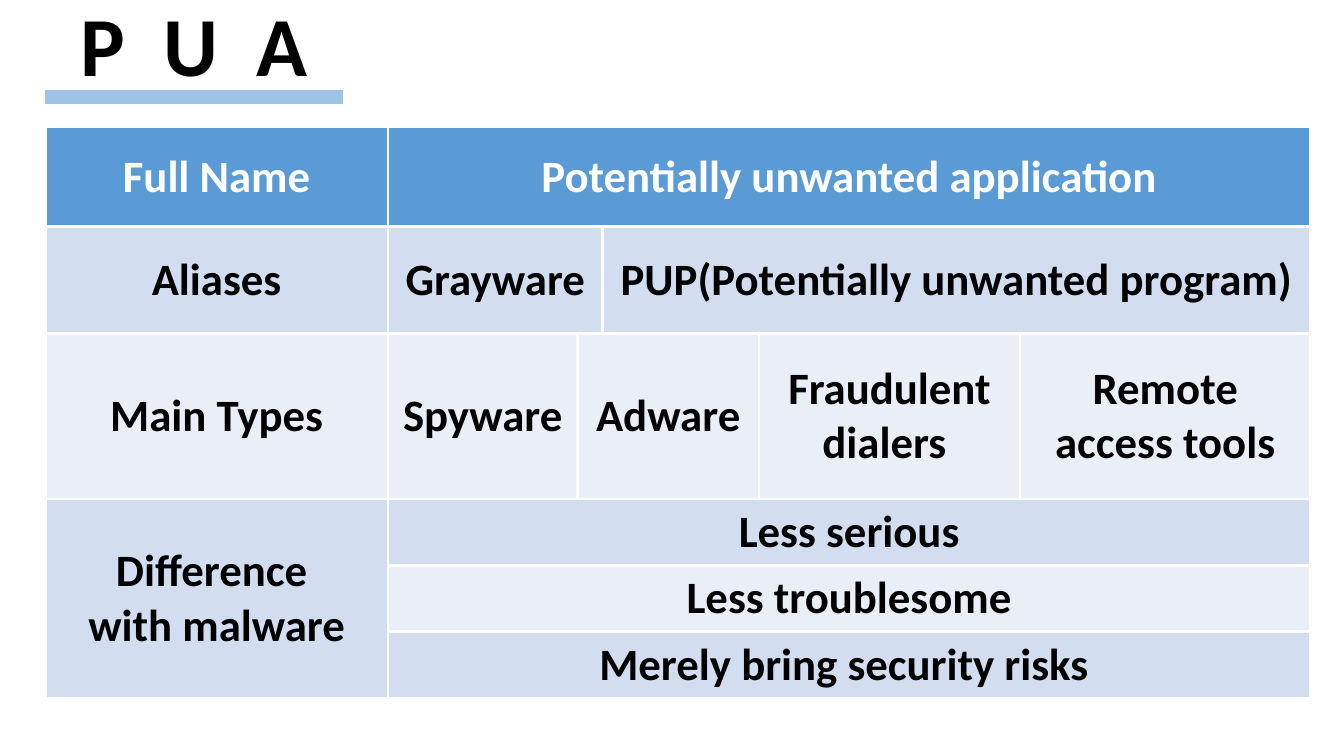
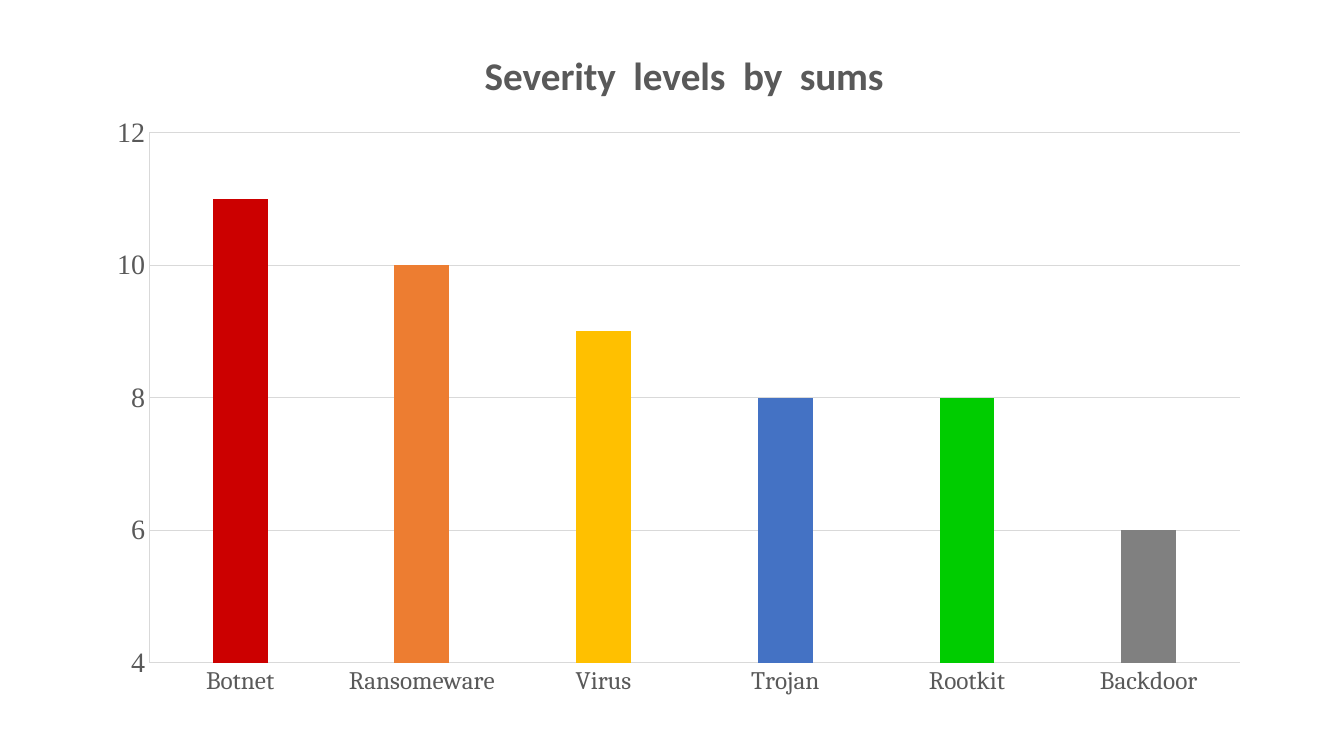
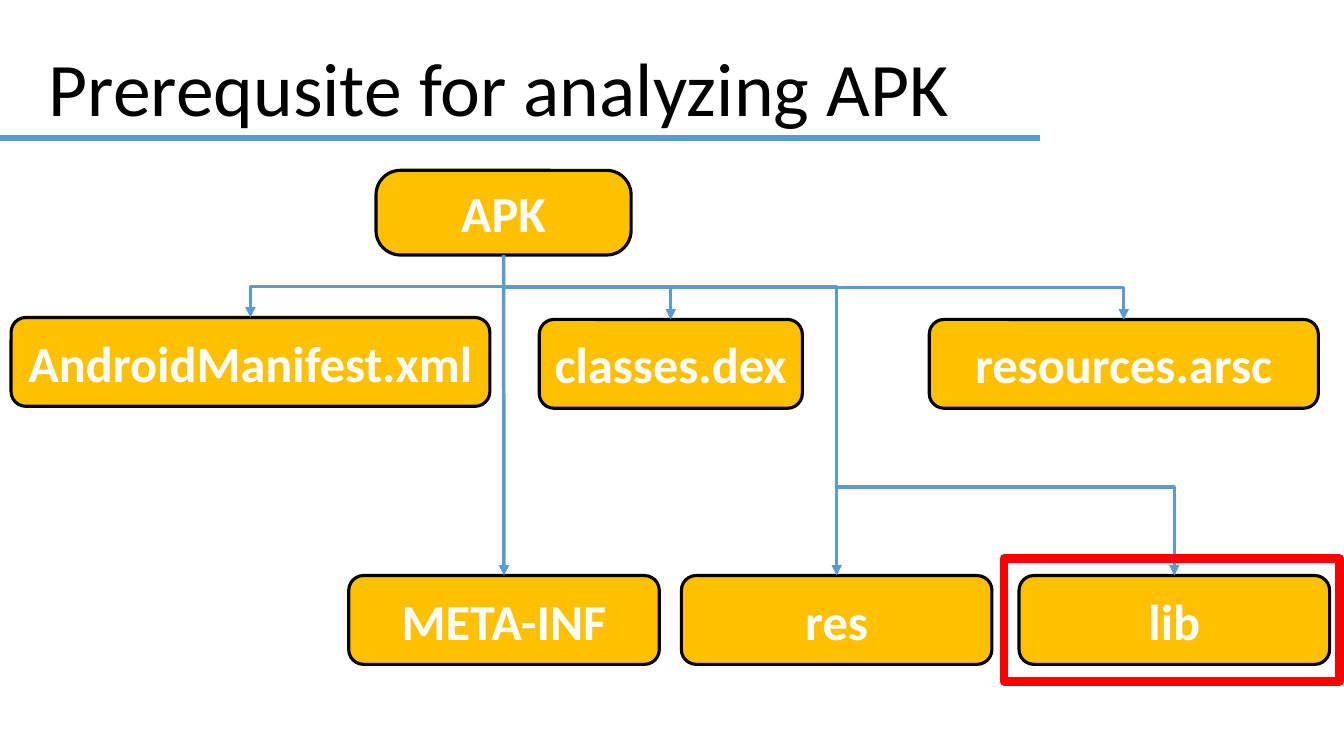
"""Build three slides: PUA table, severity chart and APK tree."""
from lxml import etree
from pptx import Presentation
from pptx.chart.data import CategoryChartData
from pptx.dml.color import RGBColor
from pptx.enum import chart as ch, shapes as sh, text as tx
from pptx.oxml.ns import qn
from pptx.util import Pt

WHITE = RGBColor(255, 255, 255)
BLACK = RGBColor(0, 0, 0)
BLUE = RGBColor(0x5B, 0x9B, 0xD5)
SKY = RGBColor(0x9D, 0xC3, 0xE6)
DEEP = RGBColor(0xD2, 0xDE, 0xEF)
PALE = RGBColor(0xEA, 0xEF, 0xF7)
GOLD = RGBColor(0xFF, 0xC0, 0)
RED = RGBColor(255, 0, 0)
GRAY = RGBColor(0x59, 0x59, 0x59)
RULE = RGBColor(0xD9, 0xD9, 0xD9)
FONT = "Calibri"

COLS = [244.8, 135.4, 18, 111.6, 186.5, 207.4]
ROWS = [71.3, 76.3, 118.1, 47.5, 47.5, 47.5]
CELLS = [
    (0, 0, 1, 1, "Full Name"),
    (0, 1, 1, 5, "Potentially unwanted application"),
    (1, 0, 1, 1, "Aliases"),
    (1, 1, 1, 2, "Grayware"),
    (1, 3, 1, 3, "PUP(Potentially unwanted program)"),
    (2, 0, 1, 1, "Main Types"),
    (2, 1, 1, 1, "Spyware"),
    (2, 2, 1, 2, "Adware"),
    (2, 4, 1, 1, "Fraudulent dialers "),
    (2, 5, 1, 1, "Remote access tools"),
    (3, 0, 3, 1, "Difference \nwith malware"),
    (3, 1, 1, 5, "Less serious"),
    (4, 1, 1, 5, "Less troublesome"),
    (5, 1, 1, 5, "Merely bring security risks "),
]

LEVELS = [
    ("Botnet", 11, RGBColor(0xCC, 0, 0)),
    ("Ransomeware", 10, RGBColor(0xED, 0x7D, 0x31)),
    ("Virus", 9, GOLD),
    ("Trojan", 8, RGBColor(0x44, 0x72, 0xC4)),
    ("Rootkit", 8, RGBColor(0, 0xCC, 0)),
    ("Backdoor", 6, RGBColor(0x80, 0x80, 0x80)),
]

HIGH, LOW, TALL = 228.2, 411.1, 63.4
NODES = {
    "APK": (268.6, 121.7, 182.2, 60.5),
    "AndroidManifest.xml": (7.9, 226.8, 342, TALL),
    "classes.dex": (385.2, HIGH, 187.9, TALL),
    "resources.arsc": (663.8, HIGH, 277.9, TALL),
    "META-INF": (249.1, LOW, 221.8, TALL),
    "res": (486.7, LOW, 221.8, TALL),
    "lib": (727.9, LOW, 221.8, TALL),
}
BENDS = {"AndroidManifest.xml": 0.5, "classes.dex": 0.5,
         "resources.arsc": 0.5, "res": 0.1}


def pts(*nums):
    return [Pt(n) for n in nums]


def write(frame, words, size, color, bold=False):
    frame.text = words
    for para in frame.paragraphs:
        para.alignment = tx.PP_ALIGN.CENTER
        font = para.font
        font.name, font.size, font.bold = FONT, Pt(size), bold
        font.color.rgb = color


def title(slide, words, box, size, rule, bold=False, wrap=True):
    left, right, y, color, thick = rule
    frame = slide.shapes.add_textbox(*pts(*box)).text_frame
    frame.word_wrap = wrap
    write(frame, words, size, BLACK, bold)
    link(slide, (left, y), (right, y), color, thick)
    return frame


def link(slide, start, end, color, thick, kind="STRAIGHT", arrow=False):
    line = slide.shapes.add_connector(
        sh.MSO_CONNECTOR[kind], *pts(*start, *end))
    line.line.color.rgb = color
    line.line.width = Pt(thick)
    if arrow:
        etree.SubElement(line.line._get_or_add_ln(), qn("a:tailEnd"), type="triangle")
    etree.SubElement(line.element.spPr, qn("a:effectLst"))
    return line


def block(slide, kind, box, fill, edge, thick):
    shape = slide.shapes.add_shape(sh.MSO_SHAPE[kind], *pts(*box))
    shape.shadow.inherit = False
    if fill is None:
        shape.fill.background()
    else:
        shape.fill.solid()
        shape.fill.fore_color.rgb = fill
    shape.line.color.rgb = edge
    shape.line.width = Pt(thick)
    return shape


def edges(cell):
    props = cell._tc.get_or_add_tcPr()
    for spot, side in enumerate("LRTB"):
        line = etree.Element(qn("a:ln" + side), w=str(Pt(2.25)))
        fill = etree.SubElement(line, qn("a:solidFill"))
        etree.SubElement(fill, qn("a:srgbClr"), val=str(WHITE))
        props.insert(spot, line)


def place(item, x, y, w=None, h=None):
    node = item._element
    old = node.find(qn("c:layout"))
    if old is None:
        old = etree.Element(qn("c:layout"))
        after = node.find(qn("c:tx"))
        node.insert(0 if after is None else 1, old)
    for child in list(old):
        old.remove(child)
    man = etree.SubElement(old, qn("c:manualLayout"))
    if w:
        etree.SubElement(man, qn("c:layoutTarget"), val="inner")
    for name in ("xMode", "yMode"):
        etree.SubElement(man, qn("c:" + name), val="edge")
    for name, val in zip("xywh", (x, y, w, h)):
        if val is not None:
            etree.SubElement(man, qn("c:" + name), val=str(val))


def pua(slide):
    frame = title(slide, "P U A", (49.7, -8.6, 177.8, 79.9), 60,
                  (32.4, 244.8, 69.1, SKY, 10), True, False)
    for run in frame.paragraphs[0].runs:
        run.font._element.set("spc", "680")
    grid = slide.shapes.add_table(
        len(ROWS), len(COLS), *pts(32.4, 90.7, sum(COLS), sum(ROWS))).table
    for col, wide in zip(grid.columns, COLS):
        col.width = Pt(wide)
    for row, tall in zip(grid.rows, ROWS):
        row.height = Pt(tall)
    for r, c, down, across, words in CELLS:
        cell = grid.cell(r, c)
        if down * across > 1:
            cell.merge(grid.cell(r + down - 1, c + across - 1))
        write(cell.text_frame, words, 32, BLACK if r else WHITE, True)
        cell.vertical_anchor = tx.MSO_ANCHOR.MIDDLE
        cell.fill.solid()
        cell.fill.fore_color.rgb = (DEEP if r % 2 else PALE) if r else BLUE
        edges(cell)


def levels(slide):
    names, vals, tints = zip(*LEVELS)
    data = CategoryChartData()
    data.categories = names
    data.add_series("Series 1", vals)
    chart = slide.shapes.add_chart(
        ch.XL_CHART_TYPE.COLUMN_CLUSTERED,
        *pts(64.8, 10.1, 837.4, 498.2), data).chart
    chart.font.name, chart.font.size = FONT, Pt(10)
    chart.has_legend = False
    write(chart.chart_title.text_frame, "Severity  levels  by  sums", 28, GRAY, True)
    chart.chart_title.include_in_layout = False
    place(chart.chart_title, 0.33, 0.04)
    place(chart._chartSpace.chart.plotArea and chart_area(chart), 0.05, 0.17, 0.93, 0.76)
    plot = chart.plots[0]
    plot.gap_width = 231
    plot.vary_by_categories = False
    for spot, tint in enumerate(tints):
        fill = plot.series[0].points[spot].format.fill
        fill.solid()
        fill.fore_color.rgb = tint
    cat, val = chart.category_axis, chart.value_axis
    for axis, face, size in ((cat, "Cambria", 18), (val, "Times New Roman", 20)):
        font = axis.tick_labels.font
        font.name, font.size, font.color.rgb = face, Pt(size), GRAY
        axis.major_tick_mark = ch.XL_TICK_MARK.NONE
    cat.format.line.fill.background()
    val.minimum_scale, val.maximum_scale, val.major_unit = 4, 12, 2
    for line in (val.format.line, val.major_gridlines.format.line):
        line.color.rgb = RULE
        line.width = Pt(0.75)


class Area:
    """Holder for the plot area element."""

    def __init__(self, node):
        self._element = node


def chart_area(chart):
    return Area(chart._chartSpace.chart.plotArea)


def bend(slide, root, node, share):
    x, y = root.left.pt + root.width.pt / 2, root.top.pt + root.height.pt
    ex, ey = node.left.pt + node.width.pt / 2, node.top.pt
    line = link(slide, (x, y), (ex, ey), BLUE, 2.5, "ELBOW", True)
    line.begin_connect(root, 2)
    line.end_connect(node, 0)
    long, wide = ey - y, abs(ex - x)
    line.left, line.top, line.width, line.height = pts(
        (x + ex - long) / 2, (y + ey - wide) / 2, long, wide)
    right = ex > x
    form = line.element.spPr.find(qn("a:xfrm"))
    form.set("rot", str((270 if right else 90) * 60000))
    form.set("flipH", str(int(right)))
    form.set("flipV", "0")
    geom = line.element.spPr.find(qn("a:prstGeom"))
    guides = geom.find(qn("a:avLst"))
    if guides is None:
        guides = etree.SubElement(geom, qn("a:avLst"))
    etree.SubElement(guides, qn("a:gd"), name="adj1", fmla=f"val {round(share * 100000)}")


def tree(slide):
    title(slide, "Prerequsite for analyzing APK ", (18, 25.9, 689, 72.7), 54,
          (0, 743, 98.6, BLUE, 4))
    made = {}
    for name, box in NODES.items():
        node = made[name] = block(slide, "ROUNDED_RECTANGLE", box, GOLD, BLACK, 2.25)
        node.text_frame.word_wrap = True
        node.text_frame.vertical_anchor = tx.MSO_ANCHOR.MIDDLE
        write(node.text_frame, name, 36, WHITE, True)
    root = made["APK"]
    root.adjustments[0] = 0.29
    for name, share in BENDS.items():
        bend(slide, root, made[name], share)
    stem = link(slide, (360, 182.2), (360, LOW), BLUE, 2.5, arrow=True)
    stem.begin_connect(root, 2)
    stem.end_connect(made["META-INF"], 0)
    side = link(slide, (597.6, 347.8), (838.8, LOW), BLUE, 2.5, "ELBOW", True)
    side.element.spPr.find(qn("a:prstGeom")).set("prst", "bentConnector2")
    side.end_connect(made["lib"], 0)
    block(slide, "RECTANGLE", (717.1, 398.9, 239.8, 87.8), None, RED, 6)


def main():
    deck = Presentation()
    deck.slide_width, deck.slide_height = pts(960, 540)
    for draw in (pua, levels, tree):
        draw(deck.slides.add_slide(deck.slide_layouts[6]))
    deck.save("out.pptx")


if __name__ == "__main__":
    main()
